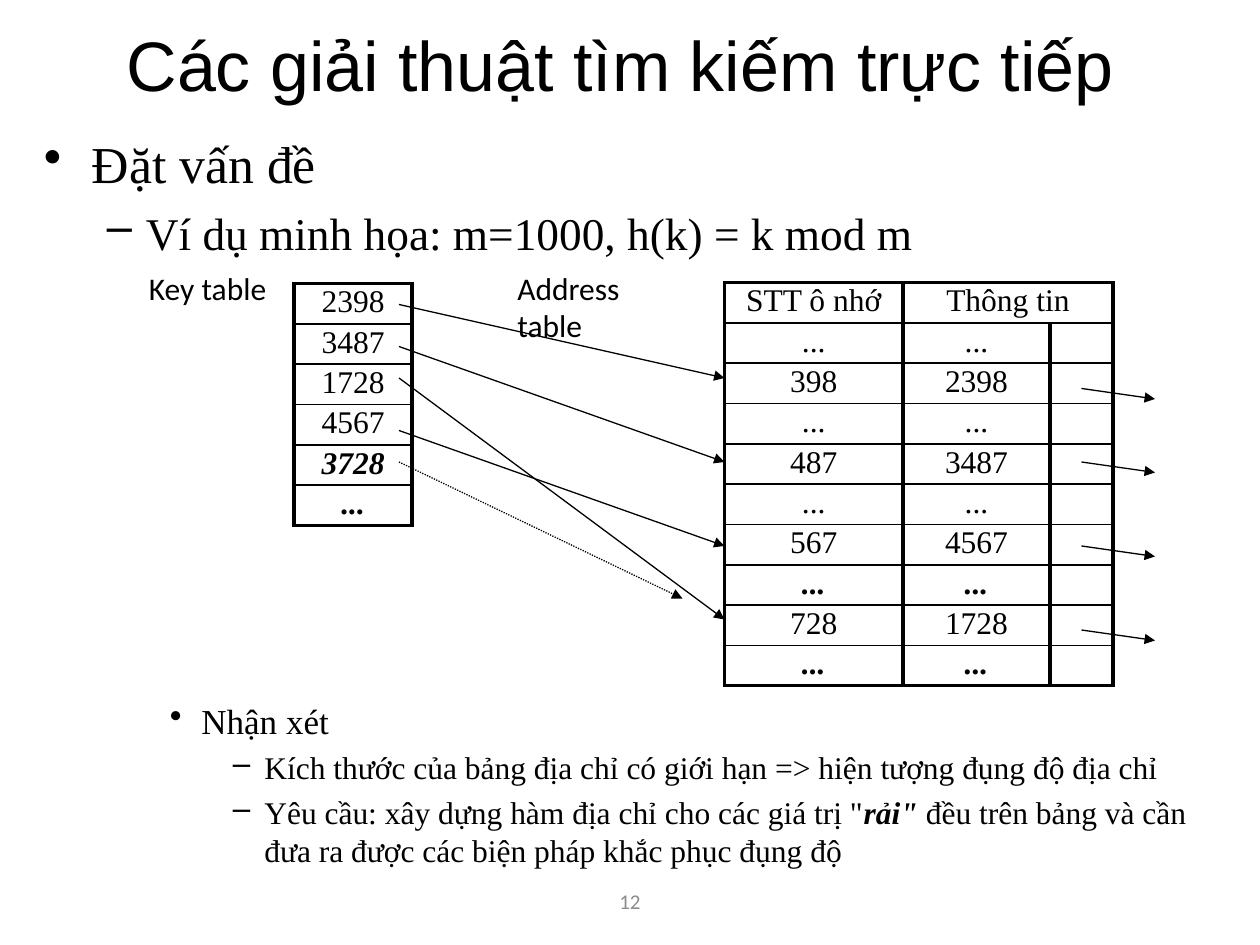
from lxml.etree import SubElement
from pptx import Presentation
from pptx.dml.color import RGBColor
from pptx.enum.dml import MSO_LINE
from pptx.enum.shapes import MSO_CONNECTOR
from pptx.enum.text import MSO_ANCHOR, PP_ALIGN
from pptx.oxml import parse_xml
from pptx.oxml.ns import nsdecls, qn
from pptx.util import Inches, Pt

BLACK = RGBColor(0x00, 0x00, 0x00)
GRAY = RGBColor(0x8C, 0x8C, 0x8C)
THICK, THIN = 2.25, 1
ROW_HEIGHT = 3.84
EMPHASIS_ROWS = {"key": (4, 5), "address": (7, 9)}


class SlideBuilder:
    serif, sans, heading = "Times New Roman", "Calibri", "Arial"
    bullets = "•–•–"
    indents = [(0.38, 0.38), (0.81, 0.31), (1.25, 0.25), (1.75, 0.25)]

    def __init__(self, presentation):
        self.slide = presentation.slides.add_slide(presentation.slide_layouts[6])
        self.unit = presentation.slide_width / 120

    def grid(self, *cells):
        return [round(cell * self.unit) for cell in cells]

    def style(self, paragraph, size, font, color=BLACK):
        paragraph.font.size = Pt(size)
        paragraph.font.name = font
        paragraph.font.color.rgb = color

    def frame(self, area, anchor=MSO_ANCHOR.TOP):
        frame = self.slide.shapes.add_textbox(*self.grid(*area)).text_frame
        frame.word_wrap = True
        frame.vertical_anchor = anchor
        return frame

    def text(self, area, words, size, font, color=BLACK,
             align=PP_ALIGN.LEFT, anchor=MSO_ANCHOR.TOP):
        paragraph = self.frame(area, anchor).paragraphs[0]
        paragraph.text = words
        paragraph.alignment = align
        self.style(paragraph, size, font, color)

    def outline(self, area, items):
        frame = self.frame(area)
        for index, (level, size, pieces) in enumerate(items):
            paragraph = frame.add_paragraph() if index else frame.paragraphs[0]
            paragraph.level = level
            paragraph.space_before = Pt(round(size * 0.23, 1))
            self.style(paragraph, size, self.serif)
            margin, hanging = self.indents[level]
            properties = paragraph._p.get_or_add_pPr()
            properties.set("marL", str(Inches(margin)))
            properties.set("indent", str(-Inches(hanging)))
            bullet = parse_xml(f'<a:buChar {nsdecls("a")} char="{self.bullets[level]}"/>')
            properties.find(qn("a:defRPr")).addprevious(bullet)
            for position, piece in enumerate(pieces):
                run = paragraph.add_run()
                run.text = piece
                if position % 2:
                    run.font.bold = run.font.italic = True

    def borders(self, cell, top, bottom):
        properties = cell._tc.get_or_add_tcPr()
        widths = {"lnL": THICK, "lnR": THICK, "lnT": top, "lnB": bottom}
        for index, (side, width) in enumerate(widths.items()):
            properties.insert(index, parse_xml(
                f'<a:{side} {nsdecls("a")} w="{Pt(width)}"><a:solidFill>'
                f'<a:srgbClr val="{BLACK}"/></a:solidFill></a:{side}>'))

    def table(self, left, top, columns, rows, emphasis, merged=None):
        area = self.grid(left, top, sum(columns), ROW_HEIGHT * len(rows))
        table = self.slide.shapes.add_table(len(rows), len(columns), *area).table
        table.first_row = table.horz_banding = False
        for column, width in zip(table.columns, self.grid(*columns)):
            column.width = width
        last = len(rows) - 1
        for r, words in enumerate(rows):
            table.rows[r].height = self.grid(ROW_HEIGHT)[0]
            for c in range(len(columns)):
                cell = table.cell(r, c)
                cell.margin_top = cell.margin_bottom = Inches(0.01)
                cell.fill.background()
                self.borders(cell, THIN if r else THICK, THICK if r == last else THIN)
                paragraph = cell.text_frame.paragraphs[0]
                if c < len(words):
                    paragraph.text = words[c]
                paragraph.alignment = PP_ALIGN.CENTER
                self.style(paragraph, 18, self.serif)
                paragraph.font.bold = paragraph.font.italic = r in emphasis
        if merged:
            table.cell(0, merged[0]).merge(table.cell(0, merged[1]))

    def arrow(self, start, end, dotted=False):
        line = self.slide.shapes.add_connector(
            MSO_CONNECTOR.STRAIGHT, *self.grid(*start, *end))
        line.line.color.rgb = BLACK
        line.line.width = Pt(0.75)
        if dotted:
            line.line.dash_style = MSO_LINE.ROUND_DOT
        SubElement(line.line._get_or_add_ln(), qn("a:tailEnd"), type="triangle")
        SubElement(line._element.spPr, qn("a:effectLst"))


def main():
    presentation = Presentation()
    presentation.slide_width, presentation.slide_height = Inches(10), Inches(7.5)
    page = SlideBuilder(presentation)

    page.text((41, 83.4, 38, 4.8), "12", 12, page.sans, GRAY,
              PP_ALIGN.CENTER, MSO_ANCHOR.MIDDLE)
    page.text((3, 1, 114, 10), "Các giải thuật tìm kiếm trực tiếp ", 40, page.heading,
              align=PP_ALIGN.CENTER, anchor=MSO_ANCHOR.MIDDLE)
    page.outline((3, 12, 114, 13), [
        (0, 29.6, ["Đặt vấn đề"]),
        (1, 25.9, ["Ví dụ minh họa: m=1000, h(k) = k mod m"]),
    ])

    keys = ["2398", "3487", "1728", "4567", "3728", "..."]
    page.table(28, 27, [11.25], [[key] for key in keys], EMPHASIS_ROWS["key"])
    addresses = [["STT ô nhớ", "Thông tin"]]
    for address, key in [("398", "2398"), ("487", "3487"), ("567", "4567"), ("728", "1728")]:
        addresses += [["...", "..."], [address, key]]
    addresses.append(["...", "..."])
    page.table(69, 26.9, [17, 14, 6], addresses, EMPHASIS_ROWS["address"], merged=(1, 2))

    page.text((13, 25, 14, 4.8), "Key table", 18, page.sans)
    page.text((48.1, 25, 18, 4.8), "Address table", 18, page.sans)

    for key_row, address_row in [(29, 36), (33, 44), (36, 59), (41, 52)]:
        page.arrow((38, key_row), (69, address_row))
    page.arrow((38, 44), (65, 57), dotted=True)

    page.outline((3, 66, 114, 18), [
        (2, 20, ["Nhận xét"]),
        (3, 18, ["Kích thước của bảng địa chỉ có giới hạn => hiện tượng đụng độ địa chỉ"]),
        (3, 18, ["Yêu cầu: xây dựng hàm địa chỉ cho các giá trị \"", "rải\"",
                 " đều trên bảng và cần đưa ra được các biện pháp khắc phục đụng độ"]),
    ])
    for row in (37, 44, 52, 60):
        page.arrow((103, row), (110, row + 1))

    presentation.save("out.pptx")


if __name__ == "__main__":
    main()
